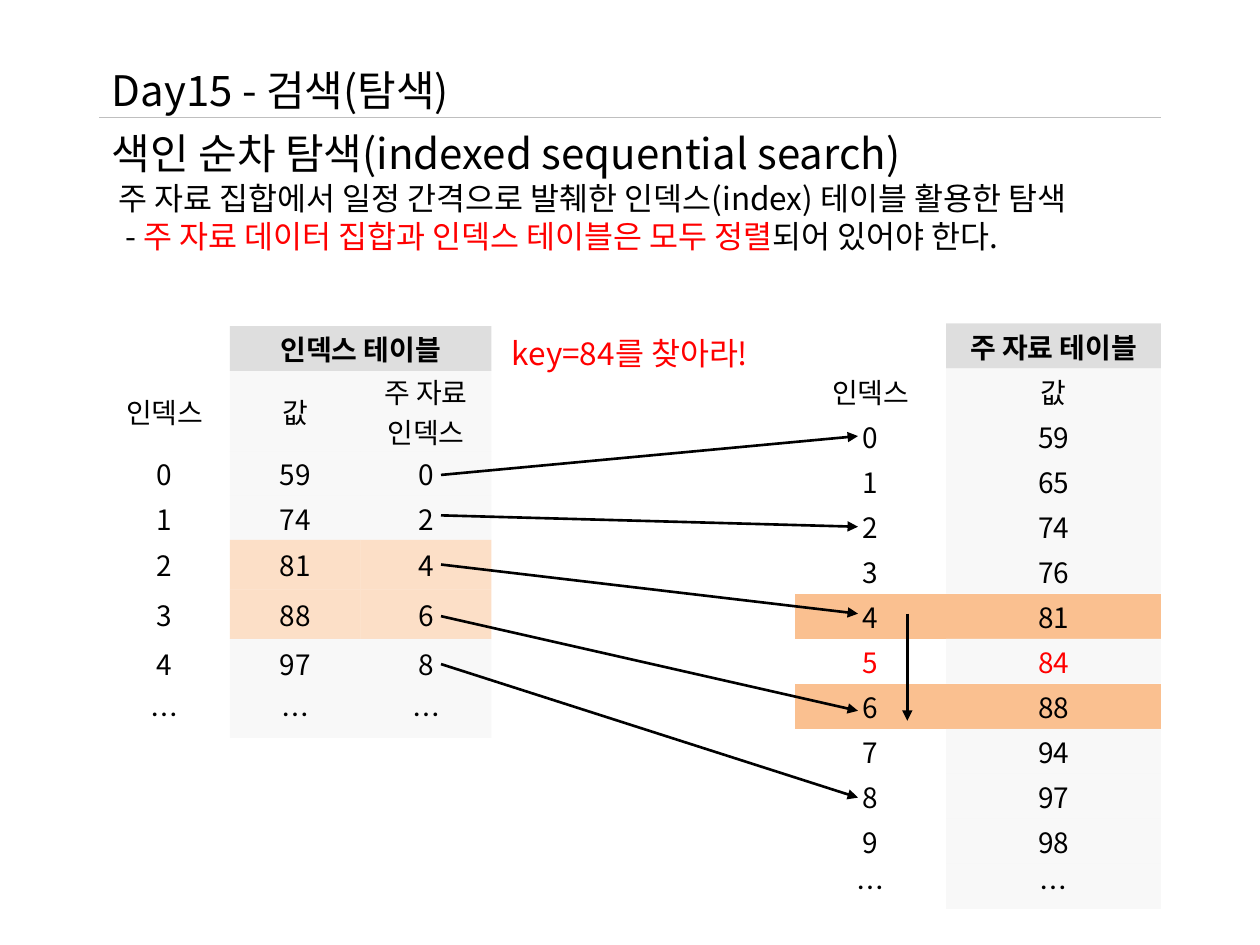
from lxml import etree
from pptx import Presentation
from pptx.dml.color import RGBColor
from pptx.enum.shapes import MSO_CONNECTOR
from pptx.enum.text import MSO_ANCHOR, PP_ALIGN
from pptx.oxml.ns import qn
from pptx.util import Pt

STRAIGHT = MSO_CONNECTOR.STRAIGHT
TOP, MIDDLE = MSO_ANCHOR.TOP, MSO_ANCHOR.MIDDLE
LEFT, CENTER = PP_ALIGN.LEFT, PP_ALIGN.CENTER

FONT = "Noto Sans CJK KR"
NO_GRID_STYLE = "{2D5ABB26-0587-4C30-8999-92F81FD0307C}"
BLACK = RGBColor(0x00, 0x00, 0x00)
RED = RGBColor(0xFF, 0x00, 0x00)
GRAY = RGBColor(0xBF, 0xBF, 0xBF)
PALE = RGBColor(0xF2, 0xF2, 0xF2)
ORANGE = RGBColor(0xFA, 0xC0, 0x90)


def add_run(paragraph, text, size, color=BLACK, bold=False):
    """Add one run with the same font for Latin and Korean letters."""
    run = paragraph.add_run()
    run.text = text
    font = run.font
    font.name, font.size, font.bold = FONT, Pt(size), bold
    font.color.rgb = color
    etree.SubElement(font._element, qn("a:ea"), typeface=FONT)


def place(shape, box):
    """Move a shape to a box and set up its text frame."""
    shape.left, shape.top, shape.width, shape.height = map(Pt, box)
    frame = shape.text_frame
    frame.word_wrap = True
    frame.vertical_anchor = TOP
    return frame


def add_line(slide, start, end, color=BLACK, width=1.5, arrow=True):
    """Draw a straight line, with an arrowhead at its end if wanted."""
    line = slide.shapes.add_connector(STRAIGHT, *map(Pt, (*start, *end)))
    line.line.color.rgb = color
    line.line.width = Pt(width)
    if arrow:
        etree.SubElement(line.line._get_or_add_ln(), qn("a:tailEnd"), type="triangle")
    etree.SubElement(line._element.spPr, qn("a:effectLst"))


def add_heading(slide, box):
    """Fill the title and draw the rule below it."""
    left, top, width, height = box
    paragraph = place(slide.shapes.title, box).paragraphs[0]
    paragraph.alignment = LEFT
    paragraph.line_spacing = Pt(31.3)
    add_run(paragraph, "Day15 - 검색(탐색)", 24)
    bottom = top + height
    add_line(slide, (left, bottom), (left + width, bottom), GRAY, 0.75, arrow=False)


def add_explanation(slide, box):
    """Fill the body with the definition of the search."""
    frame = place(slide.placeholders[1], box)
    lines = [
        (24, 31.3, 0, [("색인 순차 탐색(indexed sequential search)", BLACK)]),
        (18, 21.7, 4, [("주 자료 집합에서 일정 간격으로 발췌한 인덱스(index) 테이블 활용한 탐색", BLACK)]),
        (18, 21.7, 8, [
            ("- ", BLACK),
            ("주 자료 데이터 집합과 인덱스 테이블은 모두 정렬", RED),
            ("되어 있어야 한다.", BLACK),
        ]),
    ]
    for number, (size, spacing, indent, runs) in enumerate(lines):
        paragraph = frame.add_paragraph() if number else frame.paragraphs[0]
        properties = paragraph._p.get_or_add_pPr()
        properties.set("marL", str(Pt(indent)))
        properties.set("indent", "0")
        etree.SubElement(properties, qn("a:buNone"))
        paragraph.alignment = LEFT
        paragraph.space_before = Pt(0)
        paragraph.line_spacing = Pt(spacing)
        for text, color in runs:
            add_run(paragraph, text, size, color)


def fill_cell(cell, color, solid):
    """Fill a cell, half transparent unless solid, or leave it clear."""
    if color is None:
        cell.fill.background()
        return
    cell.fill.solid()
    cell.fill.fore_color.rgb = color
    if not solid:
        tint = cell._tc.tcPr.find(qn("a:solidFill"))[0]
        etree.SubElement(tint, qn("a:alpha"), val="50000")


def add_search_table(slide, box, rows, column_widths, row_heights,
                     marked, marks_solid=False, found=None):
    """Draw a table whose first column holds the row index."""
    table = slide.shapes.add_table(len(rows), len(column_widths), *map(Pt, box)).table
    table.first_row = table.horz_banding = False
    table._tbl.tblPr.find(qn("a:tableStyleId")).text = NO_GRID_STYLE
    for column, width in zip(table.columns, column_widths):
        column.width = Pt(width)
    for r, (values, height) in enumerate(zip(rows, row_heights)):
        table.rows[r].height = Pt(height)
        for c, text in enumerate(values):
            cell = table.cell(r, c)
            cell.margin_top = cell.margin_bottom = Pt(0)
            cell.vertical_anchor = MIDDLE
            color = None if c == 0 else GRAY if r == 0 else PALE
            solid = marks_solid and r in marked
            if r in marked and (c > 0 or solid):
                color = ORANGE
            fill_cell(cell, color, solid)
            paragraph = cell.text_frame.paragraphs[0]
            paragraph.alignment = CENTER
            if text:
                add_run(paragraph, text, 16, RED if r == found else BLACK, r == 0)
            else:
                paragraph.font.size = Pt(16)
    if len(column_widths) > 2:
        table.cell(0, 1).merge(table.cell(0, len(column_widths) - 1))


def add_index_table(slide, box):
    """Draw the index table, which holds every second main entry."""
    values = ["59", "74", "81", "88", "97"]
    rows = [("", "인덱스 테이블", ""), ("인덱스", "값", "주 자료 인덱스")]
    rows += [(str(i), value, str(2 * i)) for i, value in enumerate(values)]
    rows.append(("…",) * 3)
    heights = [25.7, 46.2, 25.2, 25.2] + [28.3] * 4
    add_search_table(slide, box, rows, [box[2] / 3] * 3, heights, marked=(4, 5))


def add_main_table(slide, box):
    """Draw the main table with the searched range and the found key."""
    values = ["59", "65", "74", "76", "81", "84", "88", "94", "97", "98"]
    rows = [("", "주 자료 테이블"), ("인덱스", "값")]
    rows += [(str(i), value) for i, value in enumerate(values)]
    rows.append(("…",) * 2)
    heights = [box[3] / len(rows)] * len(rows)
    add_search_table(slide, box, rows, [86.4, box[2] - 86.4], heights,
                     marked=(6, 8), marks_solid=True, found=7)


def add_search_arrows(slide, box):
    """Link index entries to main entries and show the scan direction."""
    left, top, width, height = box
    links = [(22.2, 0), (45.3, 51.8), (73.4, 101.5), (102.9, 157), (130.3, 206.6)]
    for start, end in links:
        add_line(slide, (left, top + start), (left + width, top + end))
    scan = left + width + 28.2
    add_line(slide, (scan, top + 101.5), (scan, top + 162.7))


def add_key(slide, box):
    """Write the key to be found."""
    frame = place(slide.shapes.add_textbox(*map(Pt, box)), box)
    paragraph = frame.paragraphs[0]
    paragraph.alignment = CENTER
    paragraph.line_spacing = Pt(22.7)
    add_run(paragraph, "key=84를 찾아라!", 18, RED)


def main():
    """Build the slide and save it."""
    deck = Presentation()
    deck.slide_width, deck.slide_height = Pt(720), Pt(540)
    slide = deck.slides.add_slide(deck.slide_layouts[1])
    add_heading(slide, (56.7, 31, 606.6, 36))
    add_explanation(slide, (56.7, 67, 606.6, 101.5))
    add_index_table(slide, (56.7, 186.3, 224.1, 235.4))
    add_main_table(slide, (454.3, 184.8, 209, 334.8))
    add_search_arrows(slide, (252, 249.2, 238.3, 206.6))
    add_key(slide, (272.9, 186.3, 174.2, 29))
    deck.save("out.pptx")


if __name__ == "__main__":
    main()
